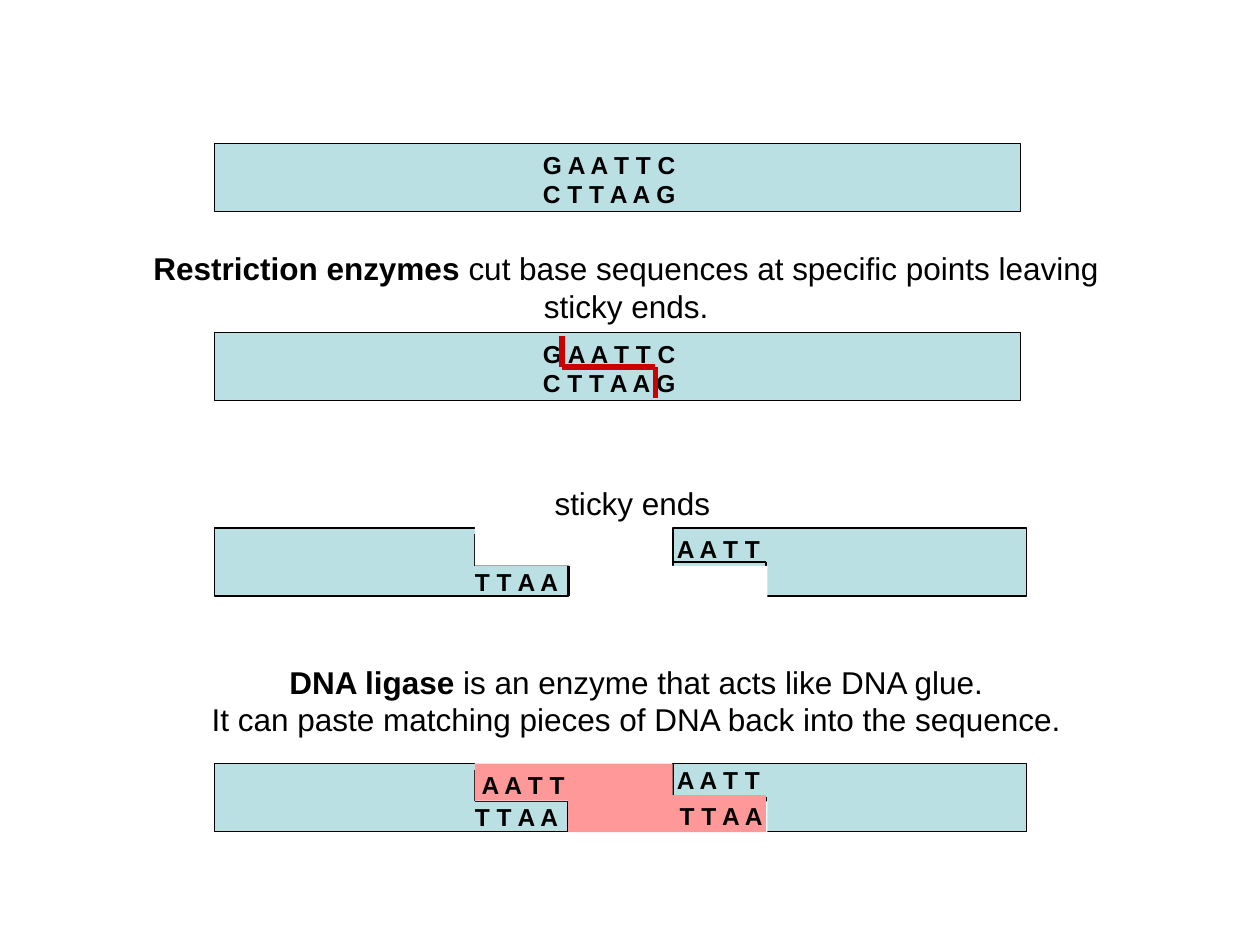
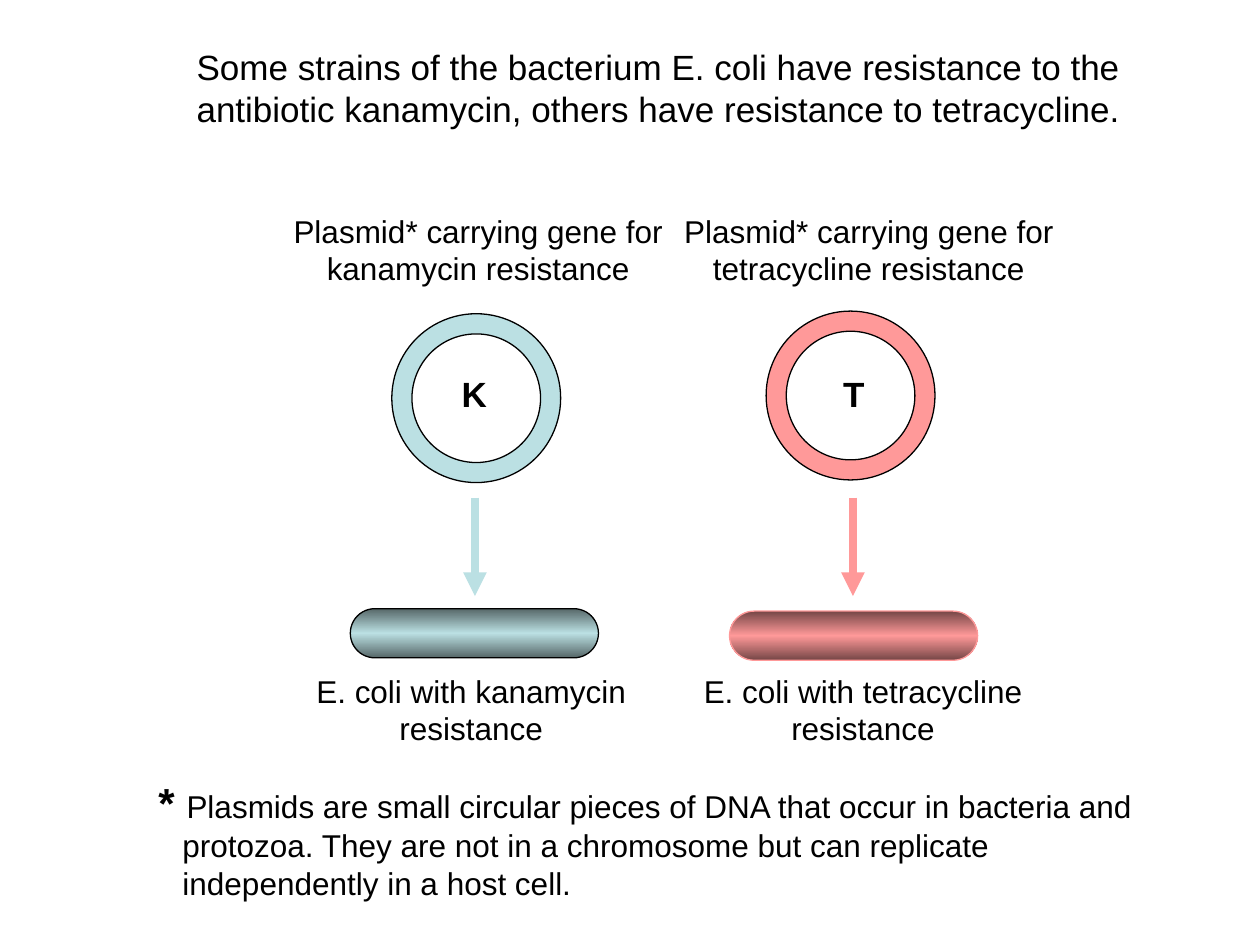
import copy
import pptx
import pptx.util
import pptx.dml.color
import pptx.enum.shapes
import pptx.enum.text
import pptx.oxml.ns
import pptx.oxml.xmlchemy

Pt = pptx.util.Pt
RGB = pptx.dml.color.RGBColor
SHAPE = pptx.enum.shapes.MSO_SHAPE
ALIGN = pptx.enum.text.PP_ALIGN
qn = pptx.oxml.ns.qn

BLACK = RGB(0x00, 0x00, 0x00)
WHITE = RGB(0xFF, 0xFF, 0xFF)
TEAL = RGB(0xBB, 0xE0, 0xE3)
DARK_TEAL = RGB(0x56, 0x67, 0x68)
PINK = RGB(0xFF, 0x99, 0x99)
DARK_PINK = RGB(0x75, 0x46, 0x46)
RED = RGB(0xCC, 0x00, 0x00)

FRAME = dict(word_wrap=True, auto_size=pptx.enum.text.MSO_AUTO_SIZE.NONE,
             vertical_anchor=pptx.enum.text.MSO_ANCHOR.TOP,
             margin_left=Pt(7.2), margin_right=Pt(7.2),
             margin_top=Pt(3.6), margin_bottom=Pt(3.6))


def draw(s, kind, x, y, w, h, fill=None, line=None, weight=0.75):
    """Draw a preset shape, or a straight line when kind is None."""
    if kind is None:
        sp = s.shapes.add_connector(pptx.enum.shapes.MSO_CONNECTOR.STRAIGHT,
                                    Pt(x), Pt(y), Pt(x + w), Pt(y + h))
        pptx.oxml.xmlchemy.OxmlElement  # element factory used below
        sp.line.fill.solid()
        sp._element.spPr.append(pptx.oxml.xmlchemy.OxmlElement("a:effectLst"))
    else:
        sp = s.shapes.add_shape(kind, Pt(x), Pt(y), Pt(w), Pt(h))
        sp.shadow.inherit = False
        if fill is not None:
            sp.fill.solid()
            sp.fill.fore_color.rgb = fill
    if line is None:
        sp.line.fill.background()
    else:
        sp.line.color.rgb = line
        sp.line.width = Pt(weight)
    return sp


def write(s, x, y, w, h, runs, align=ALIGN.LEFT, sp=None):
    """Write (text, size, bold) runs into a new text box or a placeholder."""
    sp = sp or s.shapes.add_textbox(0, 0, 0, 0)
    for name, value in dict(left=x, top=y, width=w, height=h).items():
        setattr(sp, name, Pt(value))
    tf = sp.text_frame
    for name, value in FRAME.items():
        setattr(tf, name, value)
    p = tf.paragraphs[0]
    p.alignment = align
    for text, size, bold in runs:
        for i, part in enumerate(text.split("\n")):
            if i:
                p.add_line_break()
            r = p.add_run()
            r.text = part
            for name, value in dict(name="Arial", size=Pt(size), bold=bold).items():
                setattr(r.font, name, value)
            r.font.color.rgb = BLACK
    return p


prs = pptx.Presentation()
prs.slide_width, prs.slide_height = Pt(720), Pt(540)

# Slide 1: cutting and joining DNA
s = prs.slides.add_slide(prs.slide_layouts[6])
BAR_X, BAR_W, BAR_H = 122.4, 460.8, 38.9

# Whole strands
for y in (82.1, 190.1):
    draw(s, SHAPE.RECTANGLE, BAR_X, y, BAR_W, BAR_H, TEAL, BLACK)
    write(s, 303.1, y, 103, 41, [("G A A T T C\nC T T A A G", 14, True)])

# Stepped cut through the second strand
for x, y, w, h in ((321.1, 192.2, 0, 17.5), (374.4, 209.7, 0, 17.5),
                   (321.1, 209.7, 53.3, 0)):
    draw(s, None, x, y, w, h, line=RED, weight=3)

# Cut strands, the second with the new piece pasted in
PIECE_W, LEFT_STEP, RIGHT_X, STEP_W = 202.3, 271.4, 384.5, 53.3
LEFT_END, RIGHT_STEP = LEFT_STEP + STEP_W, RIGHT_X + STEP_W
for y, pasted in ((301.7, False), (436.3, True)):
    for x in (BAR_X, RIGHT_X):
        draw(s, SHAPE.RECTANGLE, x, y, PIECE_W, BAR_H, TEAL, BLACK)
    for x, dy, w, h, weight in ((RIGHT_X, 0, 0, 19.4, 1),
                                (RIGHT_STEP, 19.4, 0, 19.5, 1),
                                (RIGHT_X, 19.4, STEP_W, 0, 1),
                                (LEFT_STEP, 3.6, 0, 18, 0.75),
                                (LEFT_END, 21.6, 0, 17.3, 1.5),
                                (LEFT_STEP, 21.6, STEP_W, 0, 0.75)):
        draw(s, None, x, y + dy, w, h, line=BLACK, weight=weight)
    draw(s, SHAPE.RECTANGLE, LEFT_STEP, y - 13.7, 67.7, 35.3, WHITE)
    draw(s, SHAPE.RECTANGLE, 374.4, y + 21.6, 64.1, 20.9, WHITE)
    write(s, 264.3, y + 18.7, 78.5, 24.5, [("T T A A", 14, True)])
    write(s, 379.7, y - 2.9 * pasted, 80, 24.5, [("A A T T", 14, True)])
    if pasted:
        for x, dy in ((LEFT_STEP, 0), (LEFT_END, 18)):
            draw(s, SHAPE.RECTANGLE, x, y + dy, 113, 21.3, PINK)
        for x, dy, bases in ((268.1, 0, "A A T T"), (381.2, 18, "T T A A")):
            write(s, x, y + dy, 78.5, 24.5, [(bases, 14, True)])

# Captions
for x, y, h, runs in (
        (65.5, 139, 50.4,
         [("Restriction enzymes", 18, True),
          (" cut base sequences at specific points leaving sticky ends.", 18, False)]),
        (69.1, 272.9, 28.8, [("sticky ends", 18, False)]),
        (71.3, 375.1, 50.4,
         [("DNA ligase", 18, True),
          (" is an enzyme that acts like DNA glue.\n"
           "It can paste matching pieces of DNA back into the sequence.", 18, False)])):
    write(s, x, y, 584.6, h, runs, ALIGN.CENTER)

# Slide 2: plasmids and resistance
s = prs.slides.add_slide(prs.slide_layouts[5])
write(s, 105.1, 22.3, 566.6, 55.4,
      [("Some strains of the bacterium E. coli have resistance to the antibiotic "
        "kanamycin, others have resistance to tetracycline.", 20, False)],
      sp=s.shapes.title)

# One column per antibiotic
for (drug, letter, color, dark, edge, cell_x, cell_y, ring_x, ring_y,
     arrow_x, label_x, letter_x, caption_x) in (
        ("kanamycin", "K", TEAL, DARK_TEAL, BLACK, 200.2, 347.8, 223.9, 179.3,
         271.4, 147.6, 249.8, 157.7),
        ("tetracycline", "T", PINK, DARK_PINK, PINK, 416.9, 349.2, 437.8, 177.8,
         487.4, 370.8, 466.6, 381.6)):
    # Bacterium with a shaded body
    sp = draw(s, SHAPE.ROUNDED_RECTANGLE, cell_x, cell_y, 141.8, 28.1, line=edge)
    sp.adjustments[0] = 0.5
    sp.fill.gradient()
    sp.fill.gradient_angle = 90
    stops = sp._element.spPr.find(".//" + qn("a:gsLst"))
    stops.append(copy.deepcopy(stops[0]))
    for stop, position, shade in zip(sp.fill.gradient_stops, (0, 0.5, 1),
                                     (dark, color, dark)):
        stop.position = position
        stop.color.rgb = shade

    # Plasmid ring
    for inset, fill in ((0, color), (11.5, WHITE)):
        size = 96.5 - 2 * inset
        draw(s, SHAPE.OVAL, ring_x + inset, ring_y + inset, size, size, fill, BLACK)

    # Arrow from plasmid to bacterium
    sp = draw(s, None, arrow_x, 284.4, 0, 56.2, line=color, weight=4.5)
    tail = pptx.oxml.xmlchemy.OxmlElement("a:tailEnd")
    tail.set("type", "triangle")
    sp.line._get_or_add_ln().append(tail)

    # Labels
    for x, y, w, h, run in (
            (label_x, 117.4, 251.3, 50.4,
             (f"Plasmid* carrying gene for {drug} resistance", 18, False)),
            (letter_x, 209.5, 42.5, 31.7, (letter, 20, True)),
            (caption_x, 380.2, 223.2, 50.4,
             (f"E. coli with {drug} resistance", 18, False))):
        write(s, x, y, w, h, [run], ALIGN.CENTER)

# Footnote with a hanging indent
p = write(s, 83.5, 439.9, 595.4, 79.2,
          [("* ", 24, True),
           ("Plasmids are small circular pieces of DNA that occur in bacteria and "
            "protozoa. They are not in a chromosome but can replicate independently "
            "in a host cell.", 18, False)])
pPr = p._p.get_or_add_pPr()
pPr.set("marL", str(Pt(13.7)))
pPr.set("indent", str(-Pt(13.7)))

prs.save("out.pptx")
